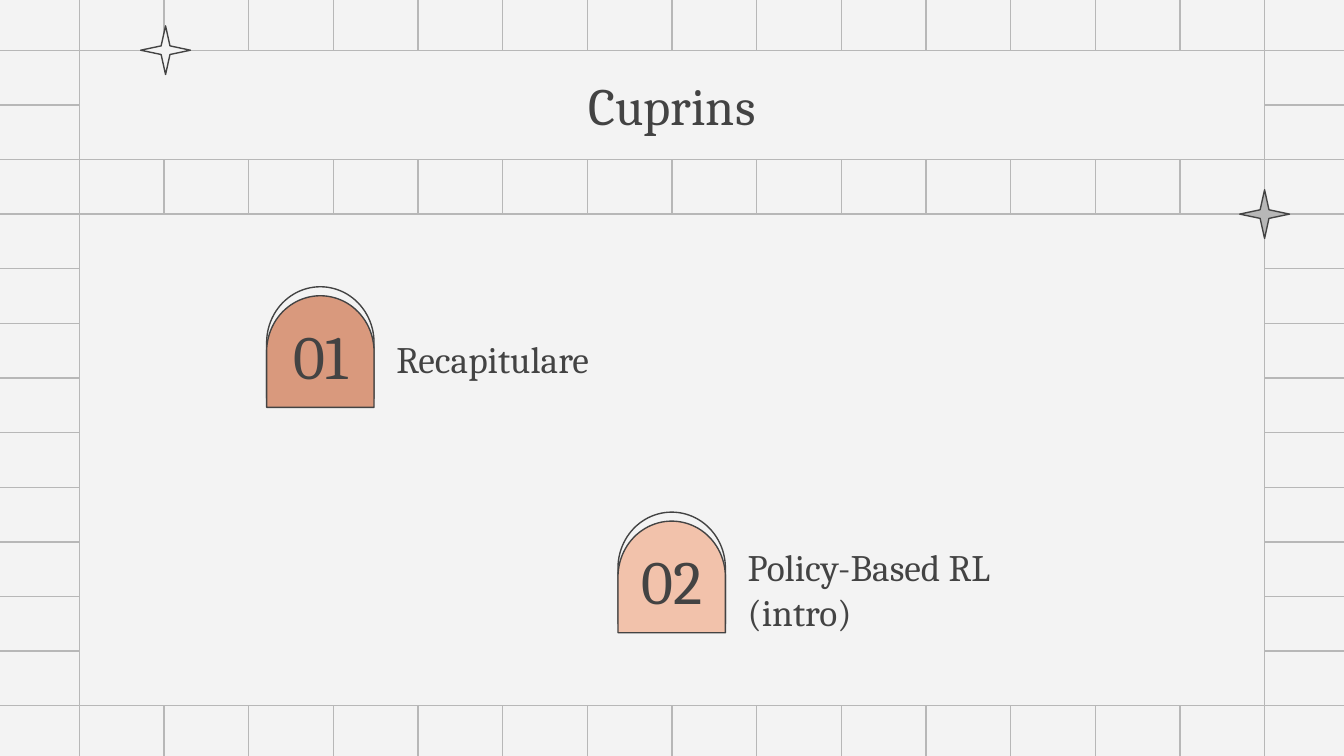
from dataclasses import dataclass

from lxml import etree
from pptx import Presentation
from pptx import util as u
from pptx.dml.color import RGBColor
from pptx.enum import shapes, text
from pptx.oxml import ns


@dataclass(frozen=True)
class Theme:
    """Hold the colours, font, type sizes and line width."""

    paper: str = "F3F3F3"
    grid: str = "B7B7B7"
    ink: str = "434343"
    clay: str = "D9997D"
    peach: str = "F2C2AB"
    font: str = "Cambria"
    title: int = 28
    number: int = 33
    label: int = 20
    line: float = 0.75


THEME = Theme()
WIDTH, HEIGHT = 25.4, 14.29
BLEED = 0.1
COLUMNS = [1.5 + 1.6 * index for index in range(15)]
ROWS = [0.95 + (13.34 - 0.95) / 12 * index for index in range(13)]


def style_line(line, color):
    """Give a line its colour and the theme width."""
    line.color.rgb = RGBColor.from_string(color)
    line.width = u.Pt(THEME.line)


def add_grid_line(slide, start, end):
    """Draw one straight grid line without a shadow."""
    connector = slide.shapes.add_connector(
        shapes.MSO_CONNECTOR.STRAIGHT, *map(u.Cm, (*start, *end))
    )
    style_line(connector.line, THEME.grid)
    etree.SubElement(connector._element.spPr, ns.qn("a:effectLst"))


def add_grid(slide):
    """Draw the grid in halves that meet at the middle of the slide."""
    middle_x, middle_y = COLUMNS[7], ROWS[6] - (ROWS[6] - HEIGHT / 2)
    for top, bottom in ((-BLEED, middle_y), (middle_y, HEIGHT + BLEED)):
        for x in COLUMNS:
            add_grid_line(slide, (x, top), (x, bottom))
    for left, right in ((-BLEED, middle_x), (middle_x, WIDTH + BLEED)):
        for y in ROWS:
            add_grid_line(slide, (left, y), (right, y))


def add_figure(slide, kind, box, fill, line=THEME.ink):
    """Add a filled and outlined preset shape."""
    shape = slide.shapes.add_shape(kind, *map(u.Cm, box))
    shape.shadow.inherit = False
    shape.fill.solid()
    shape.fill.fore_color.rgb = RGBColor.from_string(fill)
    style_line(shape.line, line)
    return shape


def add_panel(slide, first_row, last_row):
    """Add a panel that spans the columns between two grid rows."""
    top, bottom = ROWS[first_row], ROWS[last_row]
    box = (COLUMNS[0], top, COLUMNS[-1] - COLUMNS[0], bottom - top)
    return add_figure(slide, shapes.MSO_SHAPE.RECTANGLE, box, THEME.paper, THEME.grid)


def add_star(slide, x, y, fill):
    """Add a four-pointed star centred on a point."""
    width, height = 0.94, 0.92
    box = (x - width / 2, y - height / 2, width, height)
    star = add_figure(slide, shapes.MSO_SHAPE.STAR_4_POINT, box, fill)
    star.adjustments[0] = 0.125


def add_arch(slide, left, top, fill):
    """Add two offset arches, the front one coloured."""
    for offset, color in ((0, THEME.paper), (0.17, fill)):
        box = (left, top + offset, 2.11, 2.03)
        arch = add_figure(slide, shapes.MSO_SHAPE.FLOWCHART_DELAY, box, color)
        arch.rotation = 270


def write(shape, content, size, align=text.PP_ALIGN.LEFT, after=0):
    """Put formatted text in the middle of a shape."""
    frame = shape.text_frame
    frame.word_wrap = True
    frame.vertical_anchor = text.MSO_ANCHOR.MIDDLE
    frame.margin_left = frame.margin_right = u.Cm(0.25)
    frame.margin_top = frame.margin_bottom = u.Cm(0.25)
    paragraph = frame.paragraphs[0]
    paragraph.text = content
    paragraph.alignment = align
    paragraph.space_after = u.Pt(after)
    for run in paragraph.runs:
        run.font.name = THEME.font
        run.font.size = u.Pt(size)
        run.font.color.rgb = RGBColor.from_string(THEME.ink)


def add_text(slide, box, content, size, **layout):
    """Add a text box with formatted text."""
    write(slide.shapes.add_textbox(*map(u.Cm, box)), content, size, **layout)


def add_chapter(slide, left, top, fill, number, label, label_top, label_width):
    """Add a numbered arch with its label to the right."""
    add_arch(slide, left, top, fill)
    label_box = (left + 2.24, label_top, label_width, 1.02)
    add_text(slide, label_box, label, THEME.label, after=12)
    number_box = (left - 0.12, top + 0.56, 2.36, 1.36)
    add_text(slide, number_box, number, THEME.number, align=text.PP_ALIGN.CENTER)


def main():
    """Build the contents slide and save it."""
    presentation = Presentation()
    presentation.slide_width, presentation.slide_height = u.Cm(WIDTH), u.Cm(HEIGHT)
    slide = presentation.slides.add_slide(presentation.slide_layouts[6])
    slide.background.fill.solid()
    slide.background.fill.fore_color.rgb = RGBColor.from_string(THEME.paper)

    add_grid(slide)
    add_panel(slide, 3, 12)
    title = add_panel(slide, 0, 2)
    write(title, "Cuprins", THEME.title, align=text.PP_ALIGN.CENTER)
    add_chapter(slide, 5, 5.46, THEME.clay, "01", "Recapitulare", 6.27, 8.15)
    add_chapter(
        slide, 11.64, 9.72, THEME.peach, "02", "Policy-Based RL\n(intro)", 10.62, 6.17
    )
    add_star(slide, COLUMNS[-1], ROWS[3], THEME.grid)
    add_star(slide, 3.13, ROWS[0], THEME.paper)
    presentation.save("out.pptx")


if __name__ == "__main__":
    main()
